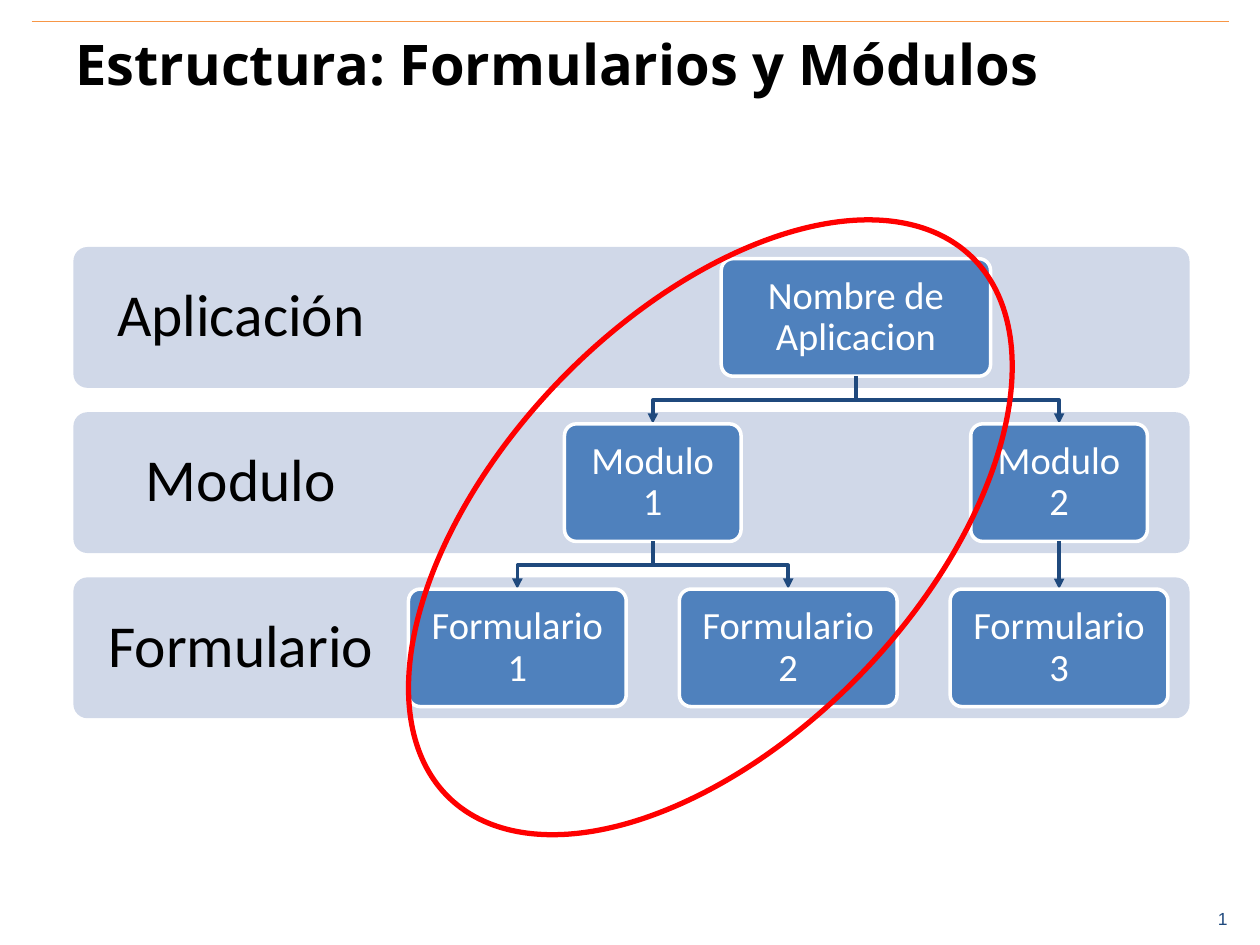
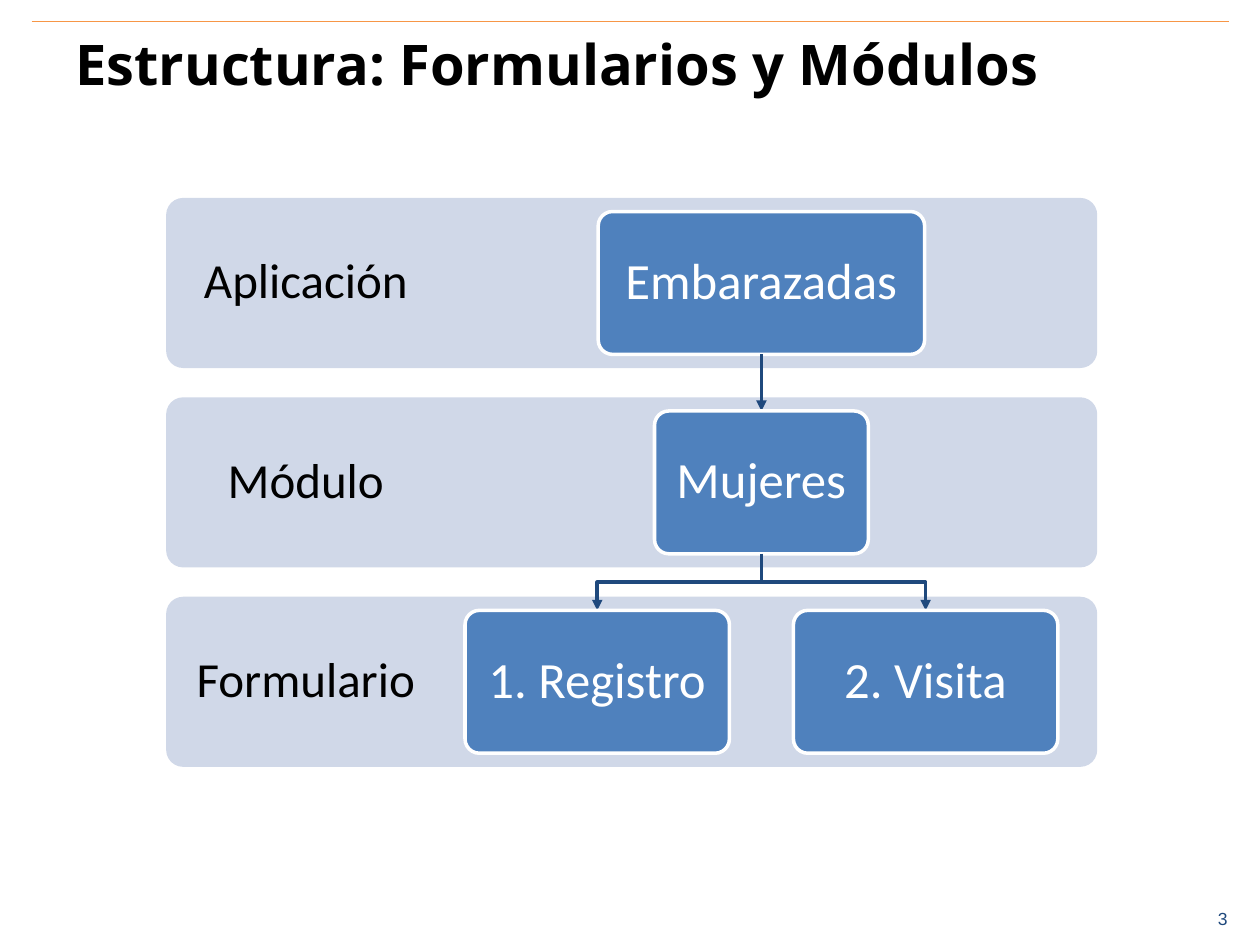
from lxml import etree
from pptx import Presentation
from pptx.dml.color import RGBColor
from pptx.enum.shapes import MSO_CONNECTOR, MSO_SHAPE
from pptx.enum.text import MSO_ANCHOR, PP_ALIGN
from pptx.oxml.ns import qn
from pptx.util import Cm, Pt

STRAIGHT = MSO_CONNECTOR.STRAIGHT
ROUNDED = MSO_SHAPE.ROUNDED_RECTANGLE
OVAL = MSO_SHAPE.OVAL
MIDDLE = MSO_ANCHOR.MIDDLE
LEFT, CENTER = PP_ALIGN.LEFT, PP_ALIGN.CENTER

TITLE = "Estructura: Formularios y Módulos"
BLACK, WHITE, NAVY = "000000", "FFFFFF", "1F497D"
ORANGE, PALE, BLUE, RED = "F79646", "D0D8E8", "4F81BD", "FF0000"

PAGES = [
    {
        "number": "1",
        "levels": ["Aplicación", "Modulo", "Formulario"],
        "tree": ("Nombre de Aplicacion", [
            ("Modulo 1", [("Formulario 1", []), ("Formulario 2", [])]),
            ("Modulo 2", [("Formulario 3", [])]),
        ]),
        "band": (1.48, 4.98, 22.5, 2.84), "pitch": 3.33,
        "label": {"width": 6.75, "size": 34, "inset": 0.66},
        "node": {"widths": [5.43, 3.56, 4.39], "height": 2.37, "size": 22, "inset": 0.23},
        "first_leaf": 10.43, "leaf_step": 5.46,
        "highlight": (10.08, 3.05, 8.48, 15.16),
    },
    {
        "number": "3",
        "levels": ["Aplicación", "Módulo", "Formulario"],
        "tree": ("Embarazadas", [
            ("Mujeres", [("1. Registro", []), ("2. Visita", [])]),
        ]),
        "band": (3.35, 3.99, 18.77, 3.43), "pitch": 4.02,
        "label": {"width": 5.63, "size": 28, "inset": 0.56},
        "node": {"widths": [6.58, 4.31, 5.33], "height": 2.88, "size": 29, "inset": 0.3},
        "first_leaf": 12.04, "leaf_step": 6.62,
        "highlight": None,
    },
]


def color(value):
    return RGBColor.from_string(value)


def set_line(line, value, width):
    line.color.rgb = color(value)
    line.width = Pt(width)


def write(shape, text, size, value, font="Calibri", bold=False, align=CENTER,
          insets=(0.25, 0.13), wrap=True, spacing=0.9):
    frame = shape.text_frame
    across, down = (Cm(inset) for inset in insets)
    frame_format = {"word_wrap": wrap, "vertical_anchor": MIDDLE,
                    "margin_left": across, "margin_right": across,
                    "margin_top": down, "margin_bottom": down}
    para = frame.paragraphs[0]
    span = para.add_run()
    span.text = text
    span.font.color.rgb = color(value)
    for target, values in [
        (frame, frame_format),
        (para, {"alignment": align, "line_spacing": spacing}),
        (span.font, {"name": font, "size": Pt(size), "bold": bold}),
    ]:
        for name, setting in values.items():
            setattr(target, name, setting)


def add_text(page, place, *words, **options):
    box = page.shapes.add_textbox(*map(Cm, place))
    write(box, *words, **options)


def add_shape(page, kind, place, fill=None, line=None, width=2):
    shape = page.shapes.add_shape(kind, *map(Cm, place))
    shape.shadow.inherit = False
    if kind == ROUNDED:
        shape.adjustments[0] = 0.1
    if fill:
        shape.fill.solid()
        shape.fill.fore_color.rgb = color(fill)
    else:
        shape.fill.background()
    if line:
        set_line(shape.line, line, width)
    else:
        shape.line.fill.background()
    return shape


def add_straight(page, start, end, value, width):
    line = page.shapes.add_connector(STRAIGHT, *map(Cm, start + end))
    set_line(line.line, value, width)
    etree.SubElement(line.element.spPr, qn("a:effectLst"))
    return line


def add_arrow(page, start, end):
    if abs(start[0] - end[0]) < 0.01:
        arrow = add_straight(page, start, end, NAVY, 2)
    else:
        middle = (start[1] + end[1]) / 2
        corners = [(start[0], middle), (end[0], middle), end]
        builder = page.shapes.build_freeform(*map(Cm, start))
        builder.add_line_segments([(Cm(x), Cm(y)) for x, y in corners], close=False)
        arrow = builder.convert_to_shape()
        arrow.shadow.inherit = False
        arrow.fill.background()
        set_line(arrow.line, NAVY, 2)
    outline = arrow.element.spPr.find(qn("a:ln"))
    etree.SubElement(outline, qn("a:tailEnd"), type="triangle")


def locate(tree, leaf_centers):
    name, children = tree
    placed = [locate(child, leaf_centers) for child in children]
    if placed:
        center = sum(child[1] for child in placed) / len(placed)
    else:
        center = next(leaf_centers)
    return name, center, placed


def draw_tree(page, content, placed, level=0):
    name, center, children = placed
    node = content["node"]
    width, height = node["widths"][level], node["height"]
    band_top, band_height = content["band"][1], content["band"][3]
    top = band_top + level * content["pitch"] + (band_height - height) / 2
    shape = add_shape(page, ROUNDED, (center - width / 2, top, width, height), BLUE, WHITE)
    write(shape, name, node["size"], WHITE, insets=(node["inset"],) * 2)
    for child in children:
        add_arrow(page, (center, top + height), (child[1], top + content["pitch"]))
        draw_tree(page, content, child, level + 1)


def draw_bands(page, content):
    left, top, width, height = content["band"]
    label = content["label"]
    for row, name in enumerate(content["levels"]):
        y = top + row * content["pitch"]
        add_shape(page, ROUNDED, (left, y, width, height), PALE)
        add_text(page, (left, y, label["width"], height), name, label["size"], BLACK,
                 insets=(label["inset"],) * 2)


def draw_frame(page, number):
    add_text(page, (23.9, 17.98, 1.5, 1.07), number, 10, NAVY,
             font="Arial", wrap=False, spacing=1.0)
    add_straight(page, (0.64, 0.43), (24.77, 0.43), ORANGE, 0.75)
    add_text(page, (1.27, 0.64, 22.86, 1.27), TITLE, 32, BLACK,
             font="Open Sans", bold=True, align=LEFT, spacing=1.0)


deck = Presentation()
deck.slide_width, deck.slide_height = Cm(25.4), Cm(19.05)
for content in PAGES:
    page = deck.slides.add_slide(deck.slide_layouts[6])
    draw_frame(page, content["number"])
    draw_bands(page, content)
    leaf_centers = (content["first_leaf"] + i * content["leaf_step"] for i in range(3))
    draw_tree(page, content, locate(content["tree"], leaf_centers))
    if content["highlight"]:
        ring = add_shape(page, OVAL, content["highlight"], line=RED, width=3)
        ring.rotation = 44
deck.save("out.pptx")
